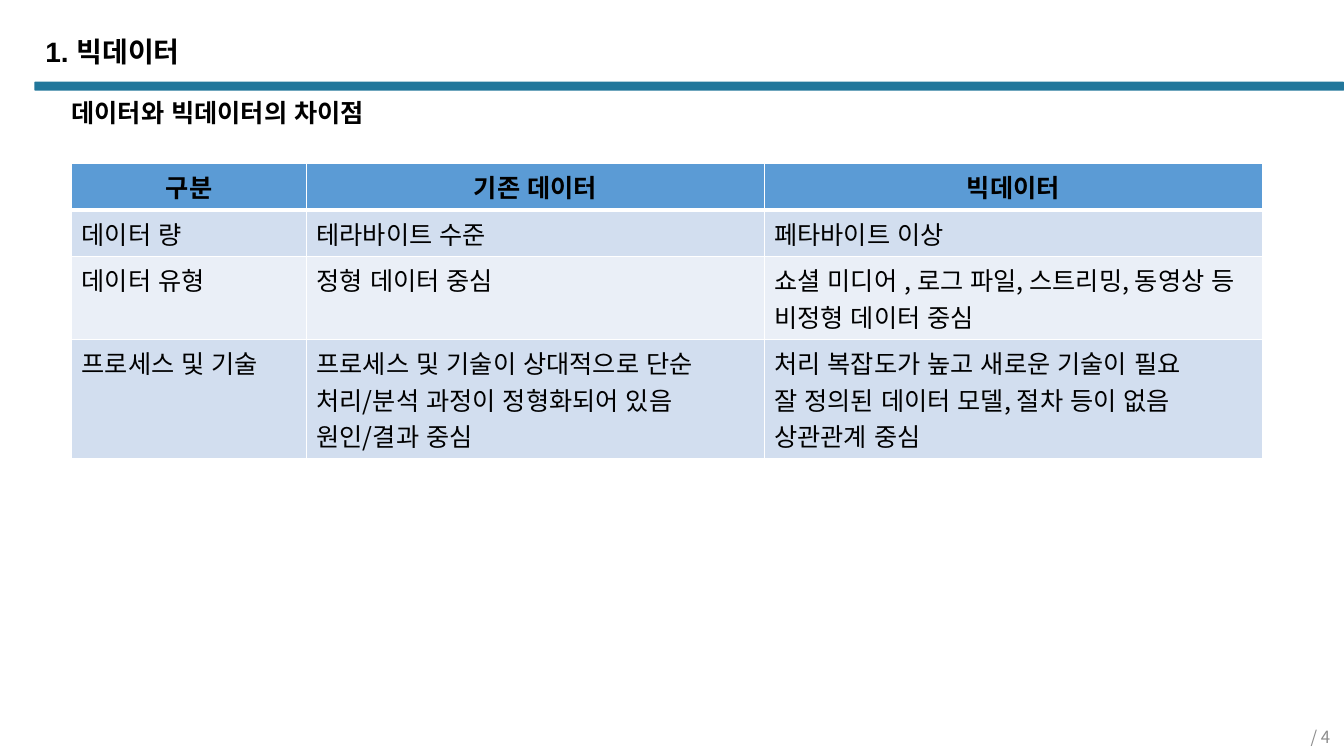
from lxml import etree
from pptx import Presentation
from pptx.dml.color import RGBColor
from pptx.enum.lang import MSO_LANGUAGE_ID
from pptx.enum.shapes import MSO_SHAPE
from pptx.enum.text import MSO_ANCHOR, MSO_AUTO_SIZE, PP_ALIGN
from pptx.oxml.ns import qn
from pptx.util import Inches, Pt

LEFT, CENTER, RIGHT = PP_ALIGN.LEFT, PP_ALIGN.CENTER, PP_ALIGN.RIGHT
TOP, MIDDLE = MSO_ANCHOR.TOP, MSO_ANCHOR.MIDDLE
NONE = MSO_AUTO_SIZE.NONE
ROUND = MSO_SHAPE.ROUNDED_RECTANGLE
KOREAN = MSO_LANGUAGE_ID.KOREAN
SANS = "Noto Sans CJK KR"

HEAD = {"size": Pt(18), "name": SANS, "bold": True}
BODY = {**HEAD, "bold": False}
TITLE = {"size": Pt(20), "name": "Arial", "bold": True}
TOPIC = {**TITLE, "size": Pt(18)}
PAGE = {"size": Pt(12), "name": SANS, "bold": False}

COLS = [2.33, 4.54, 4.94]
ROWS = [
    ["구분", "기존 데이터", "빅데이터"],
    ["데이터 량", "테라바이트 수준", "페타바이트 이상"],
    ["데이터 유형", "정형 데이터 중심",
     "쇼셜 미디어 , 로그 파일, 스트리밍, 동영상 등 비정형 데이터 중심"],
    ["프로세스 및 기술",
     "프로세스 및 기술이 상대적으로 단순\n처리/분석 과정이 정형화되어 있음\n원인/결과 중심",
     "처리 복잡도가 높고 새로운 기술이 필요\n잘 정의된 데이터 모델, 절차 등이 없음\n상관관계 중심"],
]


def paint(target, color):
    target.solid()
    target.fore_color.rgb = RGBColor.from_string(color)


def add(parent, tag, **attrs):
    return etree.SubElement(parent, qn(tag), attrs)


def write(frame, text, style, align=LEFT, color="000000"):
    frame.text = text
    for para in frame.paragraphs:
        para.alignment = align
        for run in para.runs:
            for key, value in style.items():
                setattr(run.font, key, value)
            run.font.language_id = KOREAN
            paint(run.font.fill, color)
            add(run.font._element, "a:ea", typeface=SANS)


def place(shape, box):
    for key, value in zip(("left", "top", "width", "height"), box):
        setattr(shape, key, Inches(value))


def set_frame(frame, anchor=TOP):
    frame.word_wrap = True
    frame.auto_size = NONE
    frame.vertical_anchor = anchor


def add_title(slide, box):
    title = slide.shapes.title
    place(title, box)
    set_frame(title.text_frame)
    write(title.text_frame, "1. 빅데이터", TITLE)
    title.text_frame.paragraphs[0].line_spacing = 0.9


def add_bar(slide, box):
    bar = slide.shapes.add_shape(ROUND, *map(Inches, box))
    bar.adjustments[0] = 0.13
    bar.shadow.inherit = False
    paint(bar.fill, "22779B")
    bar.line.fill.background()


def add_topic(slide, box):
    frame = slide.shapes.add_textbox(*map(Inches, box)).text_frame
    set_frame(frame)
    for side in ("left", "top", "right", "bottom"):
        setattr(frame, f"margin_{side}", 0)
    props = frame.paragraphs[0]._p.get_or_add_pPr()
    props.set("marL", str(Inches(0.31)))
    props.set("indent", str(-Inches(0.31)))
    add(add(props, "a:buClr"), "a:srgbClr", val="2E75B6")
    add(props, "a:buSzPct", val="140000")
    add(props, "a:buChar", char="◈")
    write(frame, "데이터와 빅데이터의 차이점", TOPIC)


def add_rules(cell, base):
    props = cell._tc.get_or_add_tcPr()
    for side, width in (("L", 1), ("R", 1), ("T", 1), ("B", base)):
        line = add(props, f"a:ln{side}", w=str(Pt(width)))
        add(add(line, "a:solidFill"), "a:srgbClr", val="FFFFFF")


def add_grid(slide, box):
    shape = slide.shapes.add_table(len(ROWS), len(COLS), *map(Inches, box))
    table = shape.table
    for col, width in zip(table.columns, COLS):
        col.width = Inches(width)
    for i, texts in enumerate(ROWS):
        table.rows[i].height = Inches(0.41)
        head = i == 0
        fill = "5B9BD5" if head else ("EAEFF7", "D2DEEF")[i % 2]
        for j, text in enumerate(texts):
            cell = table.cell(i, j)
            add_rules(cell, 3 if i == 0 else 1)
            paint(cell.fill, fill)
            write(cell.text_frame, text, HEAD if head else BODY,
                  CENTER if head else LEFT)


def add_page(slide, box):
    frame = slide.shapes.add_textbox(*map(Inches, box)).text_frame
    set_frame(frame, MIDDLE)
    write(frame, "/ 4 ", PAGE, RIGHT, "8C8C8C")


def main():
    deck = Presentation()
    deck.slide_width, deck.slide_height = Inches(13.33), Inches(7.5)
    slide = deck.slides.add_slide(deck.slide_layouts[5])
    add_bar(slide, (0.34, 0.81, 12.99, 0.09))
    add_topic(slide, (0.71, 0.97, 8.78, 0.3))
    add_title(slide, (0.35, 0.33, 3.83, 0.47))
    add_page(slide, (10.22, 7.19, 3.11, 0.23))
    add_grid(slide, (0.71, 1.62, sum(COLS), 1.64))
    deck.save("out.pptx")


if __name__ == "__main__":
    main()
